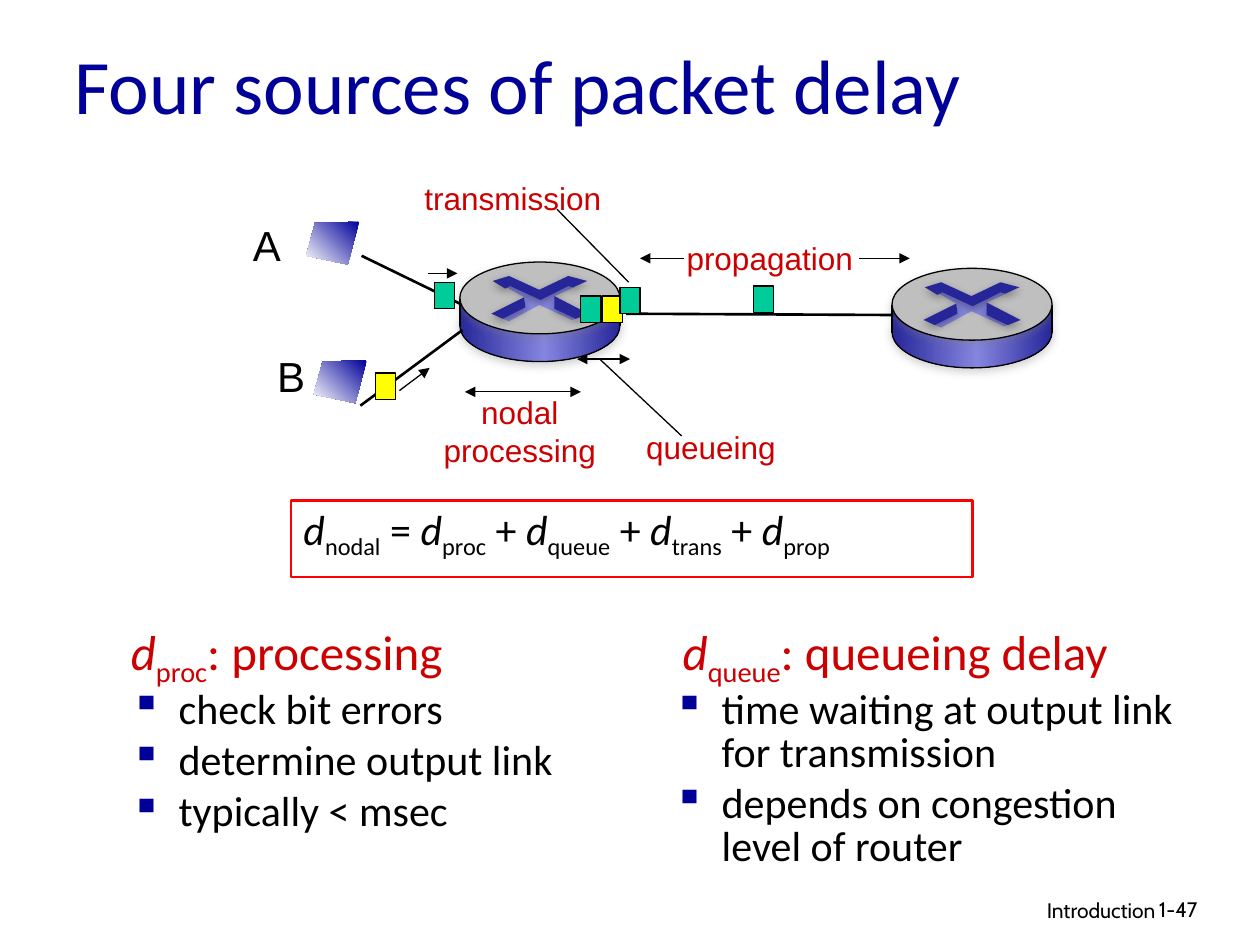
from pptx import Presentation
from pptx import util as u
from pptx.dml.color import RGBColor
from pptx.enum import shapes, text
from pptx.oxml import parse_xml
from pptx.oxml.ns import nsdecls, qn

THEME = {
    "navy": "000099", "red": "CC0000", "frame": "FF0000", "black": "000000",
    "dark": "262699", "light": "8585E0", "grey": "BFBFBF", "shade": "808080",
    "green": "00CC99", "yellow": "FFFF00", "white": "FFFFFF",
    "body": "Calibri", "label": "Arial", "footer": "Cabin",
    "title": 44, "heading": 28, "text": 24, "small": 18, "tiny": 12,
}
METAL = (0, [(0, "dark"), (53, "light"), (100, "dark")])
SCREEN = (135, [(0, "navy"), (100, "white")])

deck = Presentation()
deck.slide_width, deck.slide_height = u.Inches(10), u.Inches(7.5)
page = deck.slides.add_slide(deck.slide_layouts[6])
canvas = page.shapes

# Grid of 100 columns by 75 rows
COL, ROW = deck.slide_width // 100, deck.slide_height // 75
LEFT, CENTER, RIGHT = text.PP_ALIGN.LEFT, text.PP_ALIGN.CENTER, text.PP_ALIGN.RIGHT


def paint(shape, fill=None, line=None, width=0.75, shadow=None):
    """Set fill (colour or gradient), outline and shadow; connectors have no fill."""
    props = shape._element.spPr
    if isinstance(fill, tuple):
        angle, stops = fill
        steps = "".join(f'<a:gs pos="{pos * 1000}"><a:srgbClr val="{THEME[name]}"/></a:gs>'
                        for pos, name in stops)
        shape.fill.solid()
        props.replace(props.find(qn("a:solidFill")), parse_xml(
            f'<a:gradFill {nsdecls("a")} rotWithShape="1"><a:gsLst>{steps}</a:gsLst>'
            f'<a:lin ang="{angle * 60000}" scaled="0"/></a:gradFill>'))
    elif fill:
        shape.fill.solid()
        shape.fill.fore_color.rgb = RGBColor.from_string(THEME[fill])
    elif hasattr(shape, "fill"):
        shape.fill.background()
    if line:
        shape.line.color.rgb = RGBColor.from_string(THEME[line])
        shape.line.width = u.Pt(width)
    else:
        shape.line.fill.background()
    effect = "" if not shadow else (
        f'<a:outerShdw blurRad="{u.Pt(5)}" dist="{u.Pt(1.8)}" dir="5400000" rotWithShape="0">'
        f'<a:srgbClr val="{THEME[shadow]}"><a:alpha val="35000"/></a:srgbClr></a:outerShdw>')
    props.append(parse_xml(f'<a:effectLst {nsdecls("a")}>{effect}</a:effectLst>'))


def write(box, paras, font, wrap=True, anchor=text.MSO_ANCHOR.TOP):
    """Fill a box; a para is (spans, size, colour, format, bullet colour, hang)."""
    frame = box.text_frame
    frame.word_wrap, frame.vertical_anchor = wrap, anchor
    for index, (spans, size, colour, layout, bullet, hang) in enumerate(paras):
        para = frame.paragraphs[0] if index == 0 else frame.add_paragraph()
        props = para._p.get_or_add_pPr()
        if hang:
            margin, indent = hang
            props.set("marL", str(u.Inches(margin)))
            props.set("indent", str(u.Inches(indent)))
        if bullet:
            props.append(parse_xml(f'<a:buClr {nsdecls("a")}><a:srgbClr val="{THEME[bullet]}"/></a:buClr>'))
            props.append(parse_xml(f'<a:buChar {nsdecls("a")} char="▪"/>'))
        for name, value in layout.items():
            setattr(para, name, value)
        for words, style in spans:
            span = para.add_run()
            span.text = words
            look = {"name": THEME[font], "size": u.Pt(THEME[size]), "italic": style == "var"}
            for name, value in look.items():
                setattr(span.font, name, value)
            span.font.color.rgb = RGBColor.from_string(THEME[colour])
            if style == "sub":
                span._r.get_or_add_rPr().set("baseline", "-25000")


# Routers: side, band, lid and crossed arrows, measured from the lid's corner
GLYPHS = [
    ("light", None, [(6.3, 3.4), (3.9, 4.7), (3.2, 4.4), (5.2, 3.6), (5.1, 2.8), (3.7, 2), (4.2, 1.9),
                     (6.3, 2.9), (8.5, 1.8), (9.1, 2), (7.5, 2.7), (7.8, 3.8), (9.4, 4.4), (8.9, 4.6)]),
    ("dark", "black", [(2.6, 1.5), (3.9, 1.1), (6.3, 2.2), (8.6, 1.1), (10.1, 1.5),
                       (9, 2), (8.6, 1.9), (6.4, 3), (4, 1.9), (3.6, 2.1)]),
    ("dark", "black", [(7.5, 2.7), (10.2, 4.1), (9.2, 4.5), (7.5, 3.7)]),
    ("dark", "black", [(5.1, 2.8), (5.2, 3.6), (3.4, 4.5), (2.5, 4.1)]),
]
COMPUTER = [(4.2, 0), (0.7, 0.1), (0, 2.7), (3.3, 3.4)]
ROUTERS = [(36.5, 20.8), (70.8, 21.3)]
ROUTER_WIDTH, LID_HEIGHT, DEPTH = 12.7, 5.7, 2.2
OVAL, RECT = shapes.MSO_SHAPE.OVAL, shapes.MSO_SHAPE.RECTANGLE

outlines = []
router_sides = []
for x, y in ROUTERS:
    for kind, drop, height, fill, line, shadow in [
            (OVAL, DEPTH, LID_HEIGHT, METAL, "black", "shade"),
            (RECT, LID_HEIGHT / 2, DEPTH, METAL, None, None),
            (OVAL, 0, LID_HEIGHT, "grey", "black", "shade")]:
        part = canvas.add_shape(kind, int(x * COL), int((y + drop) * ROW),
                                int(ROUTER_WIDTH * COL), int(height * ROW))
        paint(part, fill, line, shadow=shadow)
    outlines += [(x, y, *glyph) for glyph in GLYPHS]
    router_sides += [(edge, y + 2.9, edge, y + 5.1, 0.75, "", "shade")
                     for edge in (x, x + ROUTER_WIDTH)]

# Router arrows and the two computers
outlines += [(24.3, 17.6, SCREEN, None, COMPUTER), (24.9, 28.6, SCREEN, None, COMPUTER)]
for x, y, fill, shadow, points in outlines:
    corners = [((x + dx) * COL, (y + dy) * ROW) for dx, dy in points]
    builder = canvas.build_freeform(*corners[0], scale=1.0)
    builder.add_line_segments(corners[1:], close=True)
    paint(builder.convert_to_shape(), fill, shadow=shadow)

# Links, delay arrows and label leaders: from, to, width, arrow ends, shadow
for x1, y1, x2, y2, width, ends, shadow in router_sides + [
        (28.7, 20.3, 36.5, 24.1, 1.5, "", None),
        (28.6, 32.2, 36.7, 26.2, 1.5, "", None),
        (49.7, 24.9, 70.9, 25, 1.5, "", None),
        (68.2, 20.5, 72.2, 20.5, 0.75, "tail", None),
        (54.3, 20.5, 50.8, 20.5, 0.75, "tail", None),
        (46.1, 31.1, 36.9, 31.1, 0.75, "head tail", None),
        (50, 28.5, 45.8, 28.5, 0.75, "head tail", None),
        (34, 21.7, 36.3, 21.7, 0.75, "tail", None),
        (31.7, 31, 34.1, 29.2, 0.75, "tail", None),
        (54.1, 34.6, 47.6, 28.5, 0.75, "", None),
        (44.2, 16.6, 49.9, 22.4, 0.75, "", None)]:
    link = canvas.add_connector(shapes.MSO_CONNECTOR.STRAIGHT, int(x1 * COL), int(y1 * ROW),
                                int(x2 * COL), int(y2 * ROW))
    paint(link, line="black", width=width, shadow=shadow)
    for end in ends.split():
        link.line._get_or_add_ln().append(parse_xml(f'<a:{end}End {nsdecls("a")} type="triangle"/>'))

# Packets
for x, y, colour in [(59.8, 22.7, "green"), (46.1, 23.5, "green"), (47.8, 23.5, "yellow"),
                     (49.2, 22.8, "green"), (34.5, 22.4, "green"), (29.8, 29.6, "yellow")]:
    packet = canvas.add_shape(RECT, int(x * COL), int(y * ROW), int(1.6 * COL), int(2.1 * ROW))
    paint(packet, colour, "black")

# Diagram labels, title and footer
MIDDLE, TOP = text.MSO_ANCHOR.MIDDLE, text.MSO_ANCHOR.TOP
for x, y, width, height, lines, font, size, colour, align, wrap, anchor in [
        (4.9, 2.2, 85, 8.9, ["Four sources of packet delay"], "body", "title", "navy", LEFT, True, MIDDLE),
        (32.7, 13.7, 16, 4, ["transmission"], "label", "small", "red", LEFT, False, TOP),
        (53.5, 18.5, 15.2, 4, ["propagation"], "label", "small", "red", LEFT, False, TOP),
        (34.2, 30.7, 14.1, 7, ["nodal", "processing"], "label", "small", "red", CENTER, False, TOP),
        (50.3, 33.5, 12.3, 4, ["queueing"], "label", "small", "red", LEFT, False, TOP),
        (19.1, 16.9, 4.4, 5, ["A"], "label", "text", "black", LEFT, False, TOP),
        (21, 27.3, 4.2, 5, ["B"], "label", "text", "black", LEFT, False, TOP),
        (61, 70.7, 31.7, 3.1, ["Introduction"], "footer", "tiny", "black", RIGHT, True, TOP),
        (91, 70.7, 7.4, 3, ["1-47"], "footer", "tiny", "black", LEFT, True, TOP)]:
    box = canvas.add_textbox(int(x * COL), int(y * ROW), int(width * COL), int(height * ROW))
    paras = [([(words, "")], size, colour, {"alignment": align}, None, None) for words in lines]
    write(box, paras, font, wrap, anchor)

# Delay formula
formula = []
for joint, name in [("", "nodal"), (" = ", "proc"), (" + ", "queue"), (" + ", "trans"), (" + ", "prop")]:
    formula += [(joint, "")] if joint else []
    formula += [("d", "var"), (name, "sub")]
box = canvas.add_shape(RECT, int(23.1 * COL), int(39.7 * ROW), int(54.1 * COL), int(6.1 * ROW))
paint(box, line="frame", width=1.5)
TIGHT = {"alignment": LEFT, "line_spacing": 0.85}
write(box, [(formula, "text", "black", TIGHT, None, (0.31, -0.31))], "body")

# Explanations of two delays
for x, height, first_indent, name, heading, points in [
        (9.4, 17.9, -0.38, "proc", ": processing",
         ["check bit errors", "determine output link", "typically < msec"]),
        (52.5, 23.9, -0.31, "queue", ": queueing delay",
         ["time waiting at output link for transmission", "depends on congestion level of router"])]:
    box = canvas.add_textbox(int(x * COL), int(49.1 * ROW), int(41.7 * COL), int(height * ROW))
    paras = [([("d", "var"), (name, "sub"), (heading, "")], "heading", "red", TIGHT, None,
              (0.38, first_indent))]
    paras += [([(point, "")], "text", "black", {**TIGHT, "space_before": u.Pt(4.8)}, "navy", (0.38, -0.38))
              for point in points]
    write(box, paras, "body")

deck.save("out.pptx")
